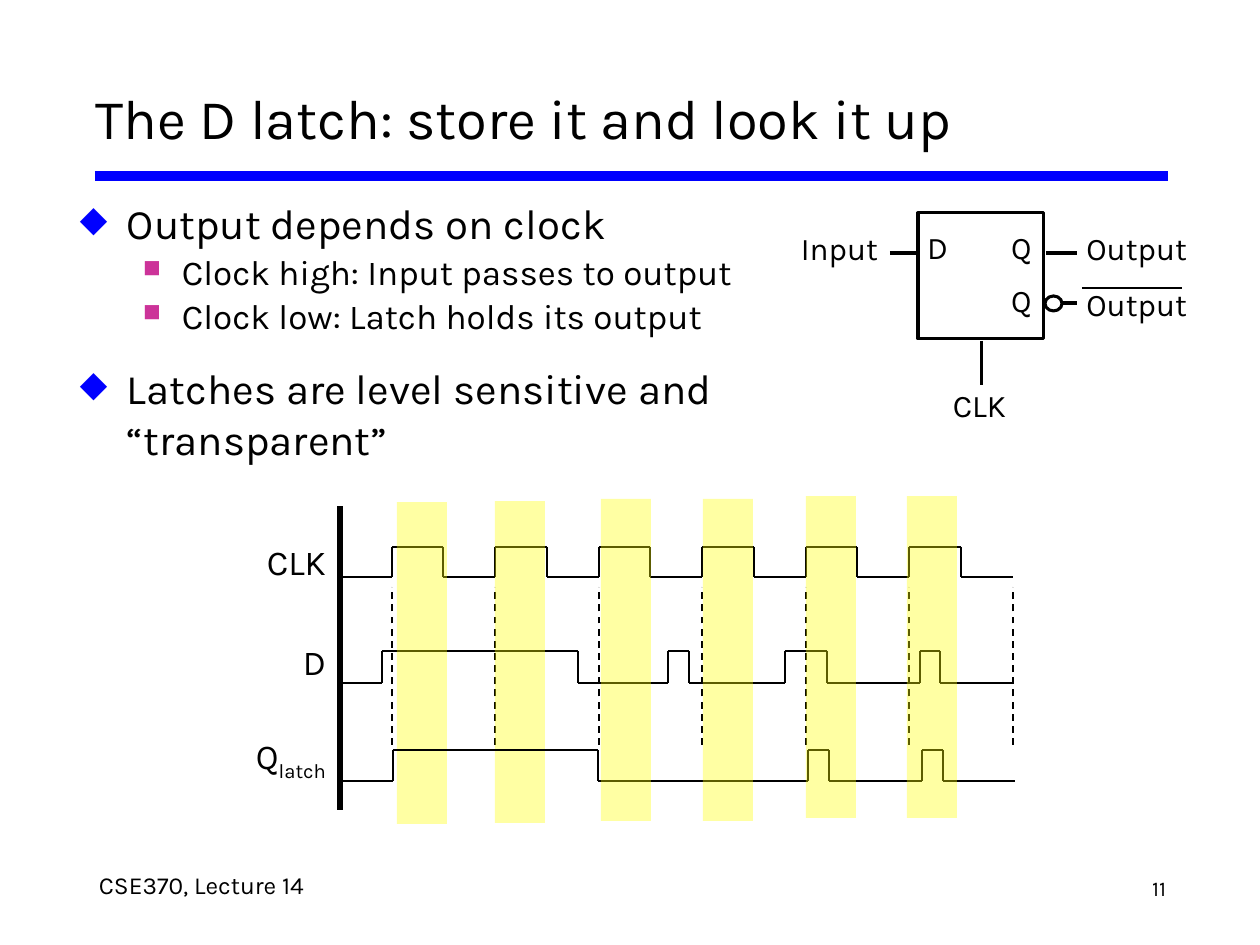
from itertools import pairwise

from lxml.etree import SubElement
from pptx import Presentation
from pptx.dml.color import RGBColor
from pptx.enum.dml import MSO_LINE
from pptx.enum.shapes import MSO_CONNECTOR, MSO_SHAPE
from pptx.enum.text import MSO_ANCHOR, PP_ALIGN
from pptx.oxml.ns import qn
from pptx.util import Pt

PX = 914400 / 126
BLACK = RGBColor(0x00, 0x00, 0x00)
WHITE = RGBColor(0xFF, 0xFF, 0xFF)
BLUE = RGBColor(0x00, 0x00, 0xFF)
MAGENTA = RGBColor(0xCC, 0x33, 0x99)
YELLOW = RGBColor(0xFF, 0xFF, 0x00)
FONT = "Karla"

presentation = Presentation()
presentation.slide_width = round(1260 * PX)
presentation.slide_height = round(945 * PX)
slide = presentation.slides.add_slide(presentation.slide_layouts[6])


def add_line(start, end, width=1.5, color=BLACK, dash=None):
    ends = [round(value * PX) for value in (*start, *end)]
    line = slide.shapes.add_connector(MSO_CONNECTOR.STRAIGHT, *ends)
    line.line.color.rgb = color
    line.line.width = Pt(width)
    if dash:
        line.line.dash_style = dash
    SubElement(line._element.spPr, qn("a:effectLst"))


def add_text(box, paragraphs, margins=(3, 4), anchor=MSO_ANCHOR.TOP):
    """Add a text box; each paragraph is (text, size, paragraph format values)."""
    shape = slide.shapes.add_textbox(*[round(value * PX) for value in box])
    frame = shape.text_frame
    frame.word_wrap = True
    frame.vertical_anchor = anchor
    frame.margin_left = frame.margin_right = round(margins[0] * PX)
    frame.margin_top = frame.margin_bottom = round(margins[1] * PX)
    for index, (text, size, values) in enumerate(paragraphs):
        paragraph = frame.paragraphs[0] if index == 0 else frame.add_paragraph()
        for name, value in values.items():
            setattr(paragraph, name, value)
        run = paragraph.add_run()
        run.text = text
        for name, value in {"name": FONT, "size": Pt(size)}.items():
            setattr(run.font, name, value)
        run.font.color.rgb = BLACK
    return frame


# Title, rule and footer
add_line((95, 176), (1168, 176), 6, BLUE)
add_text((83, 66, 1094, 103), [("The D latch: store it and look it up", 32, {})],
         (13, 6), MSO_ANCHOR.MIDDLE)
add_text((96, 867, 467, 47), [("CSE370, Lecture 14", 14, {"line_spacing": Pt(16)})])
add_text((1120, 869, 49, 45),
         [("11", 12, {"line_spacing": Pt(16), "alignment": PP_ALIGN.RIGHT})])

# Bulleted text
sub_format = {"level": 1, "line_spacing": 1.05}
body = add_text((67, 192, 693, 667), [
    ("Output depends on clock", 24, {}),
    ("Clock high: Input passes to output", 20, sub_format),
    ("Clock low: Latch holds its output", 20, sub_format),
    ("Latches are level sensitive and “transparent”", 24, {"space_before": Pt(15)}),
], (13, 6))
bullets = [("◆", BLUE, 85, 47, -47), ("■", MAGENTA, 70, 102, -39)]
for paragraph in body.paragraphs:
    symbol, color, percent, margin, indent = bullets[paragraph.level]
    properties = paragraph._p.get_or_add_pPr()
    properties.set("marL", str(round(margin * PX)))
    properties.set("indent", str(round(indent * PX)))
    bullet_color = SubElement(properties, qn("a:buClr"))
    SubElement(bullet_color, qn("a:srgbClr"), val=str(color))
    SubElement(properties, qn("a:buSzPct"), val=str(percent * 1000))
    SubElement(properties, qn("a:buChar"), char=symbol)

# Latch symbol: wires, then inverting bubble on top of its wire
for start, end in [((890, 253), (920, 253)), ((1046, 253), (1077, 253)),
                   ((982, 341), (982, 385)), ((1046, 303), (1077, 303))]:
    add_line(start, end, 1.75)
for kind, box in [(MSO_SHAPE.RECTANGLE, (918, 213, 126, 126)),
                  (MSO_SHAPE.OVAL, (1045, 296, 17, 15))]:
    shape = slide.shapes.add_shape(kind, *[round(value * PX) for value in box])
    shape.shadow.inherit = False
    shape.fill.solid()
    shape.fill.fore_color.rgb = WHITE
    shape.line.color.rgb = BLACK
    shape.line.width = Pt(1.75)
for text, box in [("D", (926, 241, 23, 24)), ("Q", (1009, 241, 25, 24)),
                  ("Q", (1009, 294, 25, 24))]:
    add_text(box, [(text, 18, {"line_spacing": Pt(14), "alignment": PP_ALIGN.CENTER})],
             (0, 0))
add_text((950, 392, 98, 52), [("CLK", 18, {"line_spacing": Pt(16)})])
for text, box in [("Input", (795, 234, 86, 37)), ("Output", (1079, 234, 111, 37)),
                  ("Output", (1079, 290, 111, 37))]:
    add_text(box, [(text, 18, {"line_spacing": Pt(16.7), "alignment": PP_ALIGN.RIGHT})])
add_line((1082, 288), (1182, 288))

# Timing diagram: axis, clock marks and signal names
clock_edges = [392 + step * 621 // 12 for step in range(13)]
add_line((340, 810), (340, 506), 3)
for x in clock_edges[::2]:
    add_line((x, 745), (x, 587), 1, dash=MSO_LINE.DASH)
name_format = {"line_spacing": Pt(28.6), "alignment": PP_ALIGN.RIGHT}
spaced_format = {**name_format, "space_before": Pt(28.6)}
names = add_text((233, 528, 96, 291), [
    ("CLK", 20, name_format), ("D", 20, spaced_format), ("Q", 20, spaced_format)])
subscript = names.paragraphs[2].add_run()
subscript.text = "latch"
for name, value in {"name": FONT, "size": Pt(20)}.items():
    setattr(subscript.font, name, value)
subscript.font.color.rgb = BLACK
subscript._r.get_or_add_rPr().set("baseline", "-25000")

# Signals start low and toggle at each edge; the held level goes above the bands
held_level = ((393, 750), (598, 750))
signals = [
    (340, clock_edges[:-1], 1013, 577, 547),
    (340, [382, 578, 668, 689, 785, 827, 920, 940], 1013, 683, 651),
    (338, [393, 598, 808, 829, 922, 943], 1015, 781, 750),
]
for start, edges, end, low, high in signals:
    points = [(start, low)]
    for index, x in enumerate(edges):
        levels = (low, high) if index % 2 == 0 else (high, low)
        points += [(x, level) for level in levels]
    points.append((end, low))
    for segment in pairwise(points):
        if segment != held_level:
            add_line(*segment)

# Translucent bands where the clock is high
for x, y in [(397, 502), (495, 501), (601, 499), (703, 499), (806, 496), (907, 496)]:
    band = slide.shapes.add_shape(
        MSO_SHAPE.RECTANGLE, *[round(value * PX) for value in (x, y, 50, 322)])
    band.shadow.inherit = False
    band.fill.solid()
    band.fill.fore_color.rgb = YELLOW
    band.line.fill.background()
    color = band._element.spPr.find(qn("a:solidFill")).find(qn("a:srgbClr"))
    SubElement(color, qn("a:alpha"), val="36000")
for start, end in pairwise([393, 447, 496, 547, 598]):
    add_line((start, 750), (end, 750))

presentation.save("out.pptx")
